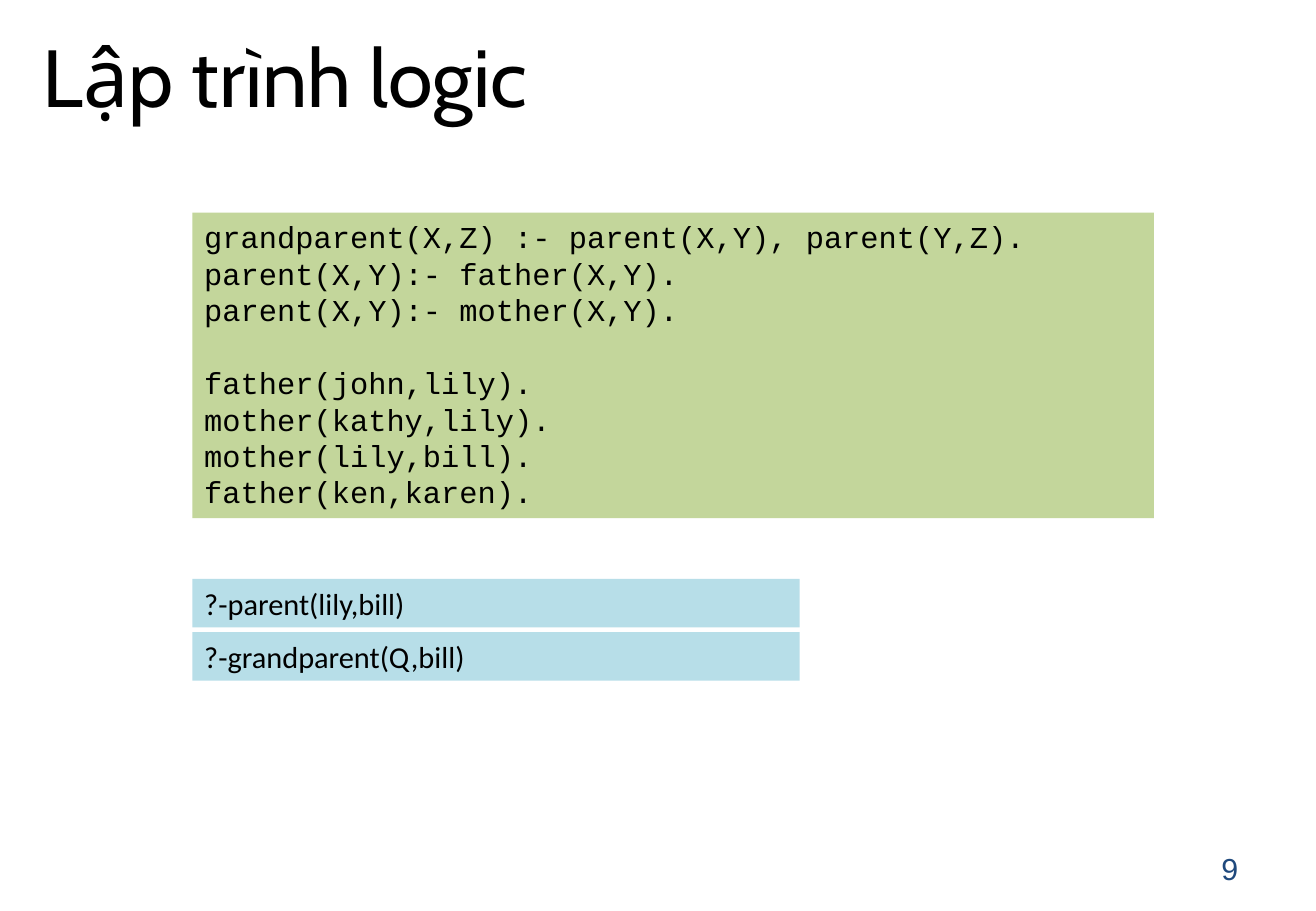
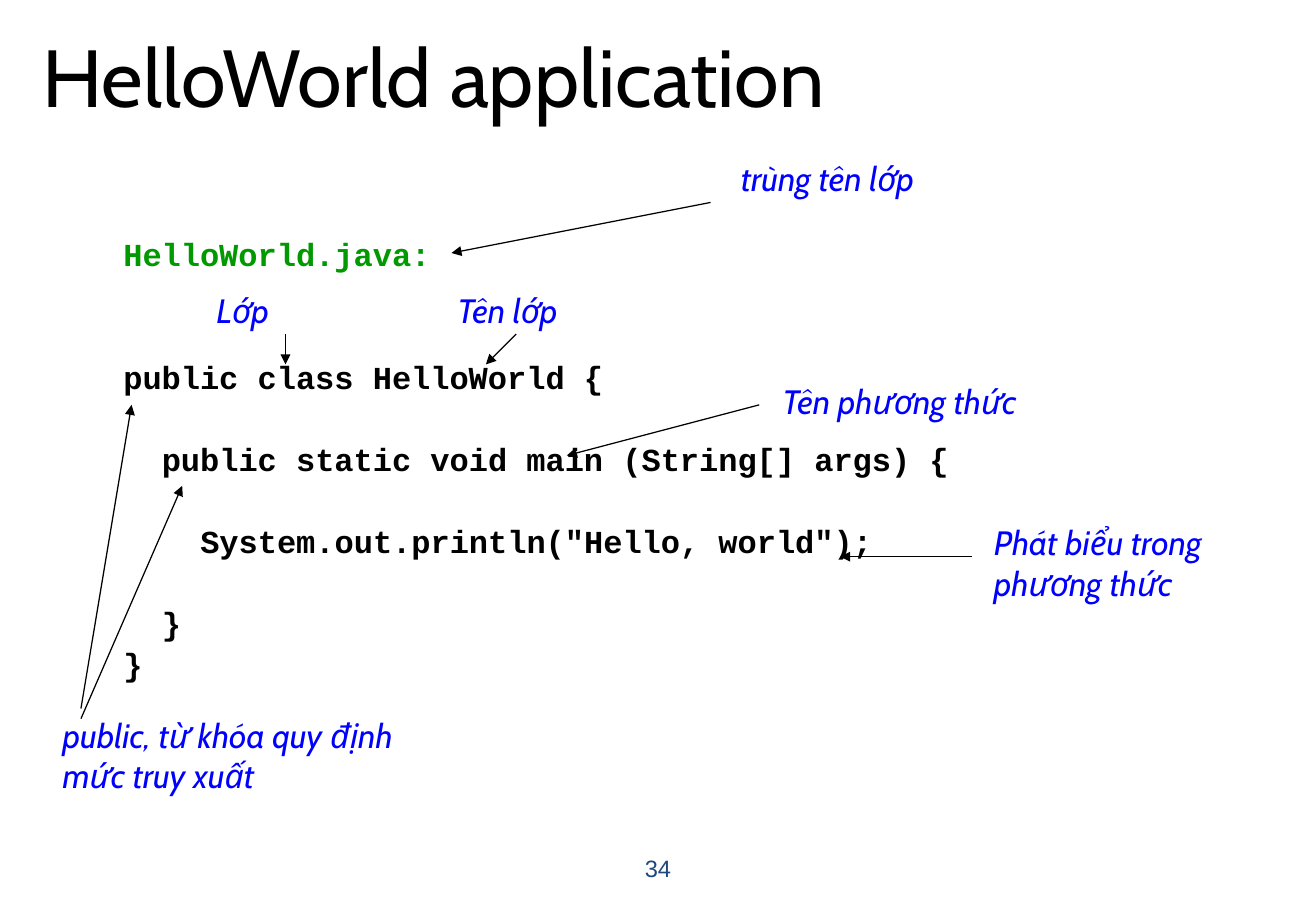
from pptx import Presentation
from pptx.dml.color import RGBColor
from pptx.enum.shapes import MSO_CONNECTOR, MSO_SHAPE
from pptx.enum.text import MSO_ANCHOR, MSO_AUTO_SIZE, PP_ALIGN
from pptx.oxml.ns import qn
from pptx.util import Inches, Pt
from lxml.etree import SubElement

COLUMNS, ROWS = 130, 90
BLACK, NAVY, BLUE, GREEN = "000000", "1F497D", "0000FF", "009900"
CODE_FILL, QUERY_FILL = "C3D69B", "B7DEE8"
CODE_FONT, NOTE_FONT = "Courier New", "Cabin"


def color(value):
    return RGBColor.from_string(value)


class Lecture:
    def __init__(self):
        self.deck = Presentation()
        self.deck.slide_width = Inches(10.83)
        self.deck.slide_height = Inches(7.5)
        self.page = None

    def point(self, column, row):
        return (round(self.deck.slide_width * column / COLUMNS),
                round(self.deck.slide_height * row / ROWS))

    def area(self, column, row, columns, rows):
        return self.point(column, row) + self.point(columns, rows)

    def add_span(self, para, text, font, size, ink=BLACK, bold=False, italic=False):
        span = para.add_run()
        span.text = text
        span.font.name = font
        span.font.size = Pt(size)
        span.font.bold = bold
        span.font.italic = italic
        span.font.color.rgb = color(ink)

    def start_page(self, title):
        self.page = self.deck.slides.add_slide(self.deck.slide_layouts[5])
        box = self.page.shapes.title
        box.left, box.top, box.width, box.height = self.area(3, -0.1, 117, 15)
        frame = box.text_frame
        frame.auto_size = MSO_AUTO_SIZE.NONE
        frame.vertical_anchor = MSO_ANCHOR.MIDDLE
        para = frame.paragraphs[0]
        para.alignment = PP_ALIGN.LEFT
        self.add_span(para, title, NOTE_FONT, 48)

    def text_box(self, place):
        frame = self.page.shapes.add_textbox(*self.area(*place)).text_frame
        frame.word_wrap = True
        return frame

    def panel(self, place, fill):
        box = self.page.shapes.add_shape(MSO_SHAPE.RECTANGLE, *self.area(*place))
        box.shadow.inherit = False
        box.fill.solid()
        box.fill.fore_color.rgb = color(fill)
        box.line.fill.background()
        box.text_frame.word_wrap = True
        box.text_frame.vertical_anchor = MSO_ANCHOR.TOP
        return box.text_frame

    def code(self, frame, lines, size, pitch, gap=0, bold=False):
        for index, (text, skipped, depth, ink) in enumerate(lines):
            para = frame.add_paragraph() if index else frame.paragraphs[0]
            para.alignment = PP_ALIGN.LEFT
            para.line_spacing = Pt(pitch)
            para.space_before = Pt(gap + skipped * (pitch + gap))
            indent = Pt(depth * 2 * 0.6 * size)
            para._p.get_or_add_pPr().set("marL", str(indent))
            self.add_span(para, text, CODE_FONT, size, ink, bold)

    def query(self, text, place):
        para = self.panel(place, QUERY_FILL).paragraphs[0]
        para.alignment = PP_ALIGN.LEFT
        self.add_span(para, text, "Calibri", 18)

    def note(self, text, place):
        para = self.text_box(place).paragraphs[0]
        self.add_span(para, text, NOTE_FONT, 20, BLUE, italic=True)

    def arrow(self, start, end):
        arrow = self.page.shapes.add_connector(
            MSO_CONNECTOR.STRAIGHT, *self.point(*start), *self.point(*end))
        arrow.line.width = Pt(0.75)
        arrow.line.color.rgb = color(BLACK)
        SubElement(arrow.line._get_or_add_ln(), qn("a:tailEnd"), type="triangle")
        SubElement(arrow._element.spPr, qn("a:effectLst"))

    def page_number(self, text, column, columns, size, alignment):
        frame = self.text_box((column, 83.4, columns, 4.8))
        frame.vertical_anchor = MSO_ANCHOR.MIDDLE
        para = frame.paragraphs[0]
        para.alignment = alignment
        self.add_span(para, text, "Arial", size, NAVY)


lecture = Lecture()

lecture.start_page("Lập trình logic")
lecture.page_number("9", 93.1, 30.4, 18, PP_ALIGN.RIGHT)
facts = [
    ("grandparent(X,Z) :- parent(X,Y), parent(Y,Z).", 0, 0, BLACK),
    ("parent(X,Y):- father(X,Y).", 0, 0, BLACK),
    ("parent(X,Y):- mother(X,Y).", 0, 0, BLACK),
    ("father(john,lily).", 1, 0, BLACK),
    ("mother(kathy,lily).", 0, 0, BLACK),
    ("mother(lily,bill).", 0, 0, BLACK),
    ("father(ken,karen).", 0, 0, BLACK),
]
lecture.code(lecture.panel((19, 21, 95, 30.2), CODE_FILL), facts, 18, 21.6)
for index, question in enumerate(["?-parent(lily,bill)", "?-grandparent(Q,bill)"]):
    lecture.query(question, (19, 57.2 + 5.25 * index, 60, 4.8))

lecture.start_page("HelloWorld application")
program = [
    ("HelloWorld.java:", 0, 0, GREEN),
    ("public class HelloWorld {", 2, 0, BLACK),
    ("public static void main (String[] args) {", 1, 1, BLACK),
    ('System.out.println("Hello, world");', 1, 2, BLACK),
    ("}", 1, 1, BLACK),
    ("}", 0, 0, BLACK),
]
lecture.code(lecture.text_box((11, 23, 108, 56)), program, 19, 20.5, 3.8, True)
callouts = [
    ("Lớp", (20.2, 28, 9, 5.3), [((28.2, 33), (28.2, 36))]),
    ("Tên phương thức", (76.1, 37, 28.1, 5.3), [((75, 40), (56, 45))]),
    ("Phát biểu trong phương thức", (97, 51, 25, 13.3), [((96, 55), (83, 55))]),
    ("trùng tên lớp", (72, 15, 43, 5.2), [((70.2, 20), (44.6, 25))]),
    ("public, từ khóa quy định mức truy xuất", (5, 70, 36, 9.2),
     [((8, 71), (18, 48)), ((8, 70), (13, 40))]),
    ("Tên lớp", (44, 28, 13.6, 5.3), [((51, 33), (48, 36))]),
]
for text, place, arrows in callouts:
    lecture.note(text, place)
    for start, end in arrows:
        lecture.arrow(start, end)
lecture.page_number("34", 44.4, 41.2, 14, PP_ALIGN.CENTER)

lecture.deck.save("out.pptx")
